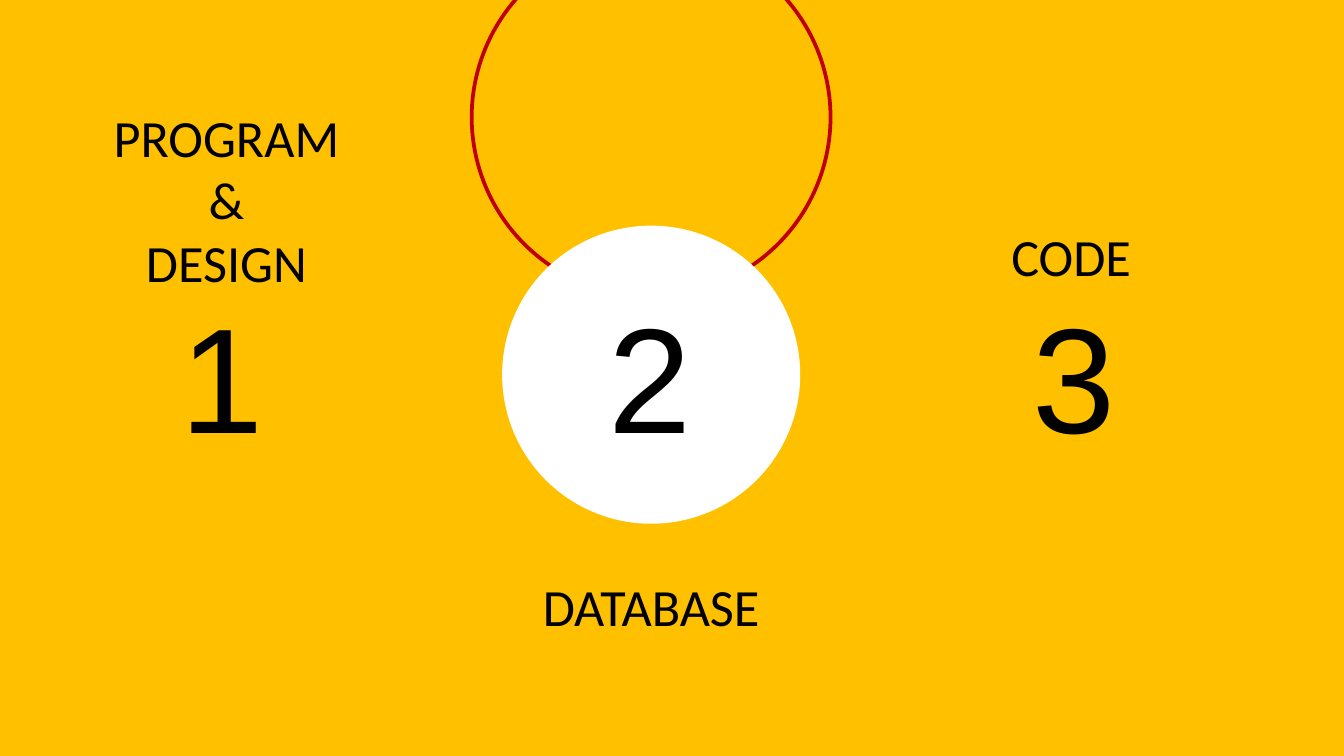
import pptx
import pptx.dml.color
import pptx.enum.shapes
import pptx.enum.text
import pptx.util

COLORS = {"background": "FFC000", "ring": "C00000", "disc": "FFFFFF", "text": "000000"}
NUMERAL = {"size": pptx.util.Pt(80), "name": "Arial"}
LABEL = {"size": pptx.util.Pt(28), "name": "Calibri"}


class Deck:
    """Style and current slide; positions are centres in percent of the slide."""

    def __init__(self, width, height):
        self.presentation = pptx.Presentation()
        self.presentation.slide_width = pptx.util.Inches(width)
        self.presentation.slide_height = pptx.util.Inches(height)
        self.slide = self.presentation.slides.add_slide(self.presentation.slide_layouts[6])
        fill = self.slide.background.fill
        fill.solid()
        fill.fore_color.rgb = self.color("background")

    def color(self, name):
        return pptx.dml.color.RGBColor.from_string(COLORS[name])

    def across(self, percent):
        return round(self.presentation.slide_width * percent / 100)

    def down(self, percent):
        return round(self.presentation.slide_height * percent / 100)

    def frame(self, x, y, width, height):
        return self.across(x) - width // 2, self.down(y) - height // 2, width, height

    def circle(self, x, y, diameter, line, fill=None):
        size = self.across(diameter)
        shape = self.slide.shapes.add_shape(
            pptx.enum.shapes.MSO_SHAPE.OVAL, *self.frame(x, y, size, size))
        shape.shadow.inherit = False
        if fill:
            shape.fill.solid()
            shape.fill.fore_color.rgb = self.color(fill)
        else:
            shape.fill.background()
        shape.line.color.rgb = self.color(line)
        shape.line.width = pptx.util.Pt(2)

    def text(self, lines, x, y, width, height, style, align=None):
        box = self.slide.shapes.add_textbox(
            *self.frame(x, y, self.across(width), self.down(height)))
        text_frame = box.text_frame
        text_frame.word_wrap = False
        text_frame.auto_size = pptx.enum.text.MSO_AUTO_SIZE.SHAPE_TO_FIT_TEXT
        text_frame.text = "\n".join(lines)
        for paragraph in text_frame.paragraphs:
            paragraph.alignment = align
            for run in paragraph.runs:
                for attribute, value in style.items():
                    setattr(run.font, attribute, value)
                run.font.color.rgb = self.color("text")


def main():
    deck = Deck(10, 10 * 9 / 16)
    middle_x, middle_y = 48.45, 49.56

    # Ring behind the highlighted step
    deck.circle(middle_x, 15.5, 26.7, "ring")
    deck.circle(middle_x, middle_y, 21.9, "disc", "disc")

    # Step numbers
    for number, x in enumerate((16.65, 48.5, 80.05), start=1):
        deck.text([str(number)], x, middle_y, 8.4, 25.78, NUMERAL)

    # Step names
    for lines, x, y, width, height in (
        (["CODE"], 79.7, 33.8, 20.3, 10.13),
        (["PROGRAM", "&", "DESIGN"], 16.85, 26.4, 30.3, 26.84),
        (["DATABASE"], middle_x, 80.09, 33.7, 10.13),
    ):
        deck.text(lines, x, y, width, height, LABEL, pptx.enum.text.PP_ALIGN.CENTER)

    deck.presentation.save("out.pptx")


if __name__ == "__main__":
    main()
